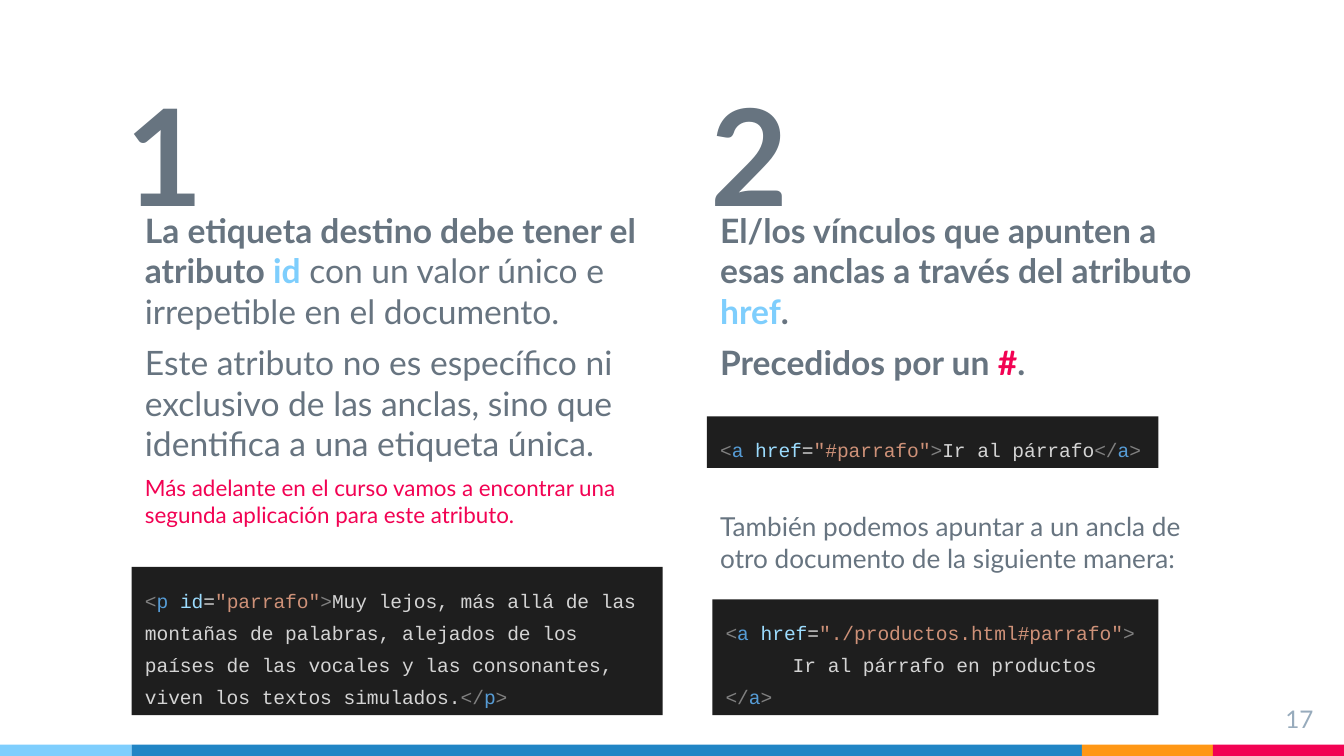
from pptx import Presentation, util as u
from pptx.dml.color import RGBColor
from pptx.enum import shapes, text

theme = {
    "grey": "677480", "sky": "7ECEFD", "blue": "2185C5", "gold": "FF9715",
    "red": "F20253", "page": "97ABBC", "dark": "1E1E1E",
    # code colours
    "mark": "808080", "name": "569CD6", "attr": "9CDCFE", "str": "CE9178", "code": "D4D4D4",
    "sans": "Lato", "mono": "Courier New",
    "big": 72, "lead": 18, "text": 14, "num": 13, "note": 12, "small": 10.5,
}

deck = Presentation()
deck.slide_width, deck.slide_height = u.Inches(10), u.Inches(5.625)
slide = deck.slides.add_slide(deck.slide_layouts[6])
# The grid has 100 columns and 100 rows
col, row = deck.slide_width / 100, deck.slide_height / 100


def block(x, y, w, h, fill=None):
    area = [int(v) for v in (x * col, y * row, w * col, h * row)]
    if not fill:
        return slide.shapes.add_textbox(*area)
    box = slide.shapes.add_shape(shapes.MSO_SHAPE.RECTANGLE, *area)
    box.shadow.inherit = False
    box.fill.solid()
    box.fill.fore_color.rgb = RGBColor.from_string(theme[fill])
    box.line.fill.background()
    return box


def write(box, paras, size, face="sans", anchor="TOP", **form):
    """Each paragraph is a list of runs: (text, colour, font overrides)."""
    frame = box.text_frame
    frame.word_wrap = True
    frame.vertical_anchor = text.MSO_ANCHOR[anchor]
    for side in ("left", "right", "top", "bottom"):
        setattr(frame, "margin_" + side, u.Inches(0.1))
    for i, runs in enumerate(paras):
        para = frame.paragraphs[0] if i == 0 else frame.add_paragraph()
        for key, val in ({"alignment": text.PP_ALIGN.LEFT} | form).items():
            setattr(para, key, val)
        for words, tint, *more in runs:
            run = para.add_run()
            run.text = words
            font = {"name": theme[face], "size": u.Pt(theme[size]), "bold": False}
            for key, val in (font | (more[0] if more else {})).items():
                setattr(run.font, key, val)
            run.font.color.rgb = RGBColor.from_string(theme[tint])


# Footer stripe
left = 0
for wide, tint in ((9.8, "sky"), (70.7, "blue"), (9.75, "gold"), (9.75, "red")):
    block(left, 98.5, wide, 1.5, tint)
    left += wide

# Page number
write(block(92.7, 91.4, 6, 6), [[("17", "page")]], "num", alignment=text.PP_ALIGN.RIGHT)

# Big numerals
for x, digit in ((8, "1"), (51.5, "2")):
    write(block(x, 15.3, 8.5, 17.4), [[(digit, "grey", {"bold": True})]], "big",
          anchor="BOTTOM", alignment=text.PP_ALIGN.CENTER)

# Body texts
bold = {"bold": True}
note = {"size": u.Pt(theme["note"])}
first = [
    [("La etiqueta destino debe tener el atributo ", "grey", bold), ("id", "sky", bold),
     (" con un valor único e irrepetible en el documento.", "grey")],
    [("Este atributo no es específico ni exclusivo de las anclas, sino que identifica "
      "a una etiqueta única.", "grey")],
    [("Más adelante en el curso vamos a encontrar una segunda aplicación para este "
      "atributo.", "red", note)],
]
second = [
    [("El/los vínculos que apunten a esas anclas a través del atributo ", "grey", bold),
     ("href", "sky", bold), (".", "grey", bold)],
    [("Precedidos por un ", "grey", bold), ("#", "red", bold), (".", "grey", bold)],
]
third = [[("También podemos apuntar a un ancla de otro documento de la siguiente manera:",
           "grey")]]
for x, y, paras, size in ((9.8, 26, first, "lead"), (52.6, 26, second, "lead"),
                          (52.6, 65.8, third, "text")):
    write(block(x, y, 39.5, 10), paras, size, space_before=u.Pt(6))

# Code samples: area, tag, attribute, value, content, content on its own line
samples = (
    ((9.8, 75, 39.5, 19.6), "p", "id", "parrafo",
     "Muy lejos, más allá de las montañas de palabras, alejados de los países de las "
     "vocales y las consonantes, viven los textos simulados.", False),
    ((52.6, 55.1, 33.6, 6.8), "a", "href", "#parrafo", "Ir al párrafo", False),
    ((53, 79.3, 33.2, 15.3), "a", "href", "./productos.html#parrafo",
     "Ir al párrafo en productos", True),
)
for area, tag, attr, val, words, split in samples:
    start = [("<", "mark"), (tag, "name"), (" ", "code"), (attr, "attr"), ("=", "code"),
             (f'"{val}"', "str"), (">", "mark")]
    inner = [(words, "code")]
    end = [("</", "mark"), (tag, "name"), (">", "mark")]
    box = block(*area, "dark")
    write(box, [start, inner, end] if split else [start + inner + end],
          "small", "mono", line_spacing=1.36)
    if split:  # first-line indent of the content
        box.text_frame.paragraphs[1]._p.get_or_add_pPr().set("indent", str(int(5 * col)))

deck.save("out.pptx")
